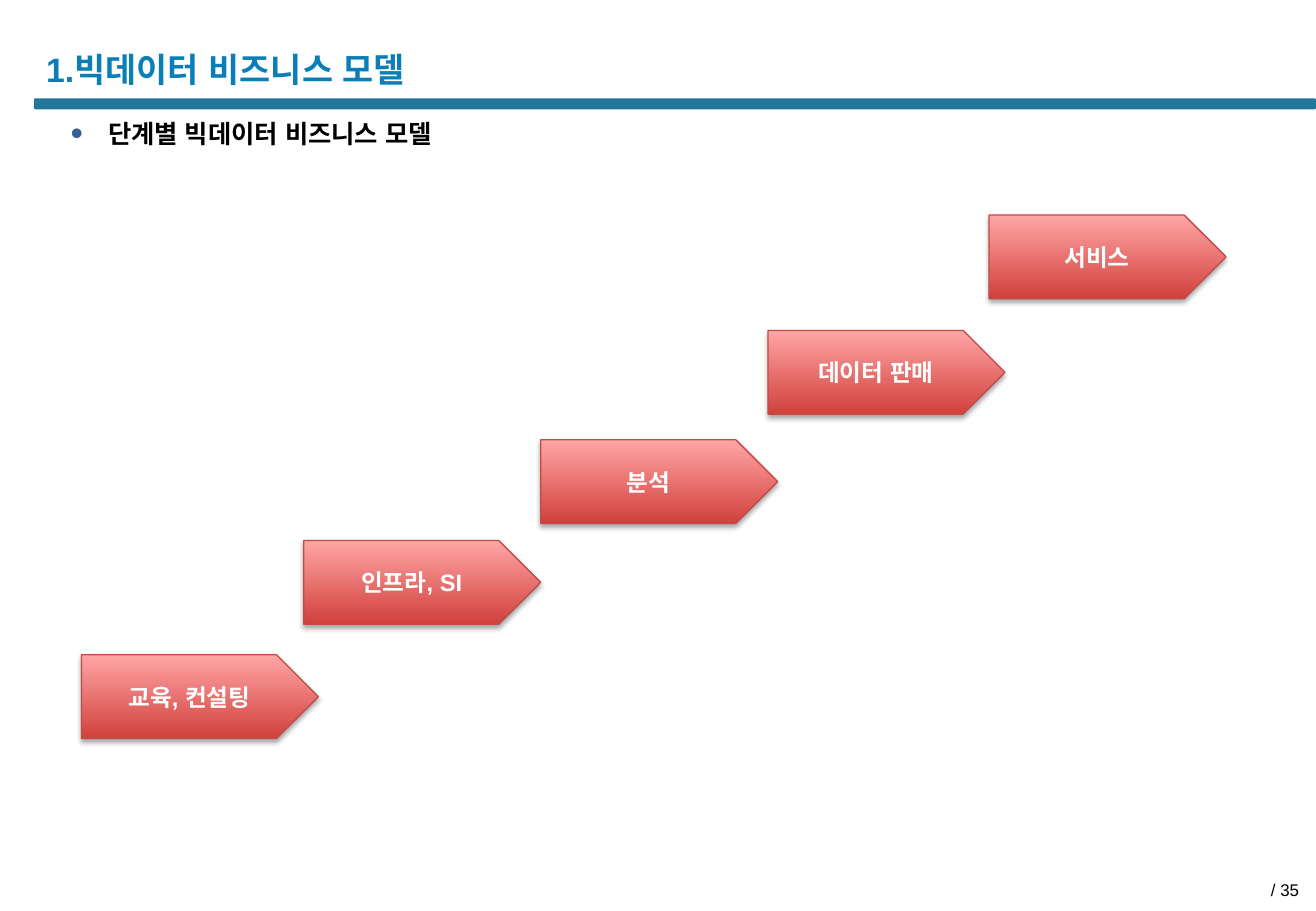
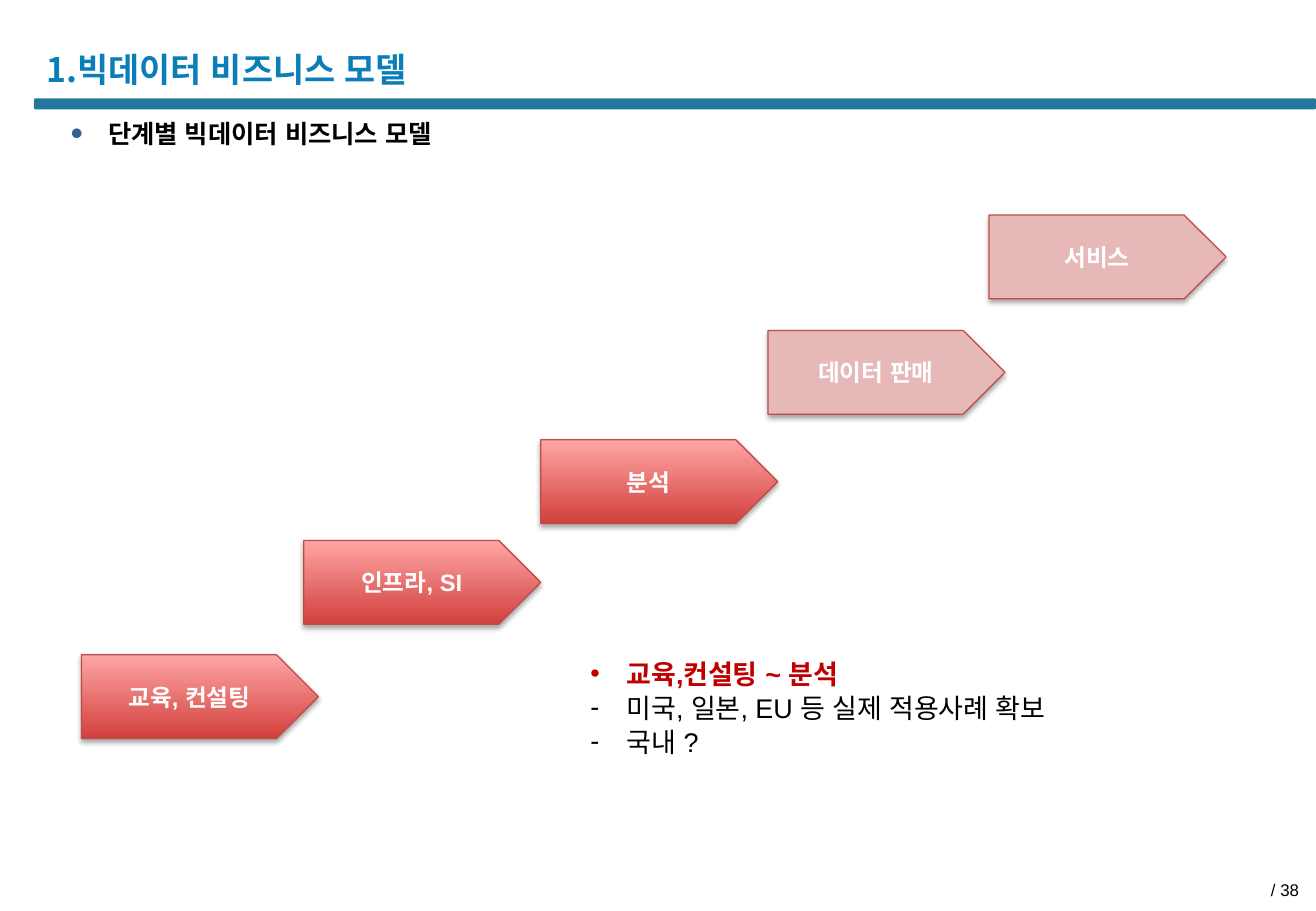
from dataclasses import dataclass
from typing import Any

import pptx
import pptx.dml.color
import pptx.enum.lang
import pptx.enum.shapes
import pptx.enum.text
import pptx.oxml.ns
import pptx.util
from lxml import etree

ALIGN = pptx.enum.text.PP_ALIGN
ANCHOR = pptx.enum.text.MSO_ANCHOR
SHAPE = pptx.enum.shapes.MSO_SHAPE
qn = pptx.oxml.ns.qn


@dataclass(frozen=True)
class Theme:
    title: str = "0A7FB7"
    band: str = "22779B"
    bullet: str = "376092"
    text: str = "000000"
    accent: str = "C00000"
    arrow_bottom: str = "D1403C"
    arrow_top: str = "FFA6A5"
    arrow_faded: str = "E6B9B8"
    arrow_line: str = "BF4C48"
    arrow_text: str = "FFFFFF"
    font: str = "Arial"
    korean_font: str = "Noto Sans CJK KR"
    title_size: int = 20
    note_size: int = 16
    body_size: int = 15
    arrow_size: int = 14
    page_size: int = 10


@dataclass(frozen=True)
class Area:
    """Left, top, width and height in percent of the slide."""
    left: float
    top: float
    width: float
    height: float

    def lengths(self) -> tuple[int, int, int, int]:
        return (round(WIDTH * self.left / 100), round(HEIGHT * self.top / 100),
                round(WIDTH * self.width / 100), round(HEIGHT * self.height / 100))


@dataclass(frozen=True)
class Stage:
    label: str
    left: float
    top: float


@dataclass(frozen=True)
class Note:
    text: str
    bullet: str
    color: str
    bold: bool = False


@dataclass(frozen=True)
class Page:
    number: str
    title_font: str
    faded: tuple[str, ...] = ()
    notes: tuple[Note, ...] = ()


THEME = Theme()
WIDTH = pptx.util.Inches(10.83)
HEIGHT = pptx.util.Inches(7.5)
BAND = Area(2.59, 10.8, 97.41, 1.2)
TITLE = Area(2.59, 4.4, 59.28, 6.27)
BODY = Area(5.36, 12.93, 65.84, 3.33)
NOTES = Area(43.95, 71.33, 51.15, 12.13)
PAGE_NUMBER = Area(76.73, 95.87, 23.27, 3.07)
ARROW_WIDTH, ARROW_HEIGHT = 18.01, 9.2

STAGES = (
    Stage("교육, 컨설팅", 6.19, 71.87),
    Stage("인프라, SI", 23.08, 59.33),
    Stage("분석", 41.09, 48.27),
    Stage("데이터 판매", 58.36, 36.27),
    Stage("서비스", 75.16, 23.6),
)
PAGES = (
    Page("/ 35", THEME.font),
    Page("/ 38", THEME.korean_font, ("데이터 판매", "서비스"), (
        Note("교육,컨설팅 ~ 분석", "•", THEME.accent, True),
        Note("미국, 일본, EU 등 실제 적용사례 확보", "-", THEME.text),
        Note("국내 ?", "-", THEME.text),
    )),
)


def rgb(value: str) -> pptx.dml.color.RGBColor:
    return pptx.dml.color.RGBColor.from_string(value)


def place(shape: Any, area: Area) -> None:
    shape.left, shape.top, shape.width, shape.height = area.lengths()


def set_insets(frame: Any, left: float, top: float, right: float, bottom: float) -> None:
    frame.margin_left, frame.margin_top, frame.margin_right, frame.margin_bottom = map(
        pptx.util.Inches, (left, top, right, bottom))


def add_bullet(paragraph: Any, character: str, color: str, percent: int, indent: float) -> None:
    properties = paragraph._p.get_or_add_pPr()
    length = pptx.util.Inches(indent)
    properties.set("marL", str(length))
    properties.set("indent", str(-length))
    bullet_color = etree.SubElement(properties, qn("a:buClr"))
    etree.SubElement(bullet_color, qn("a:srgbClr"), val=color)
    etree.SubElement(properties, qn("a:buSzPct"), val=str(percent * 1000))
    etree.SubElement(properties, qn("a:buFont"), typeface=THEME.font)
    etree.SubElement(properties, qn("a:buChar"), char=character)


def write(paragraph: Any, text: str, *, size: int, color: str, bold: bool = False,
          font: str = THEME.font, align: Any = ALIGN.LEFT, spacing: float = 1.0) -> None:
    paragraph.alignment = align
    paragraph.space_before = pptx.util.Pt(0)
    paragraph.line_spacing = spacing
    run = paragraph.add_run()
    run.text = text
    run.font.size = pptx.util.Pt(size)
    run.font.bold = bold
    run.font.color.rgb = rgb(color)
    run.font.language_id = pptx.enum.lang.MSO_LANGUAGE_ID.KOREAN
    run.font.name = font
    etree.SubElement(run._r.get_or_add_rPr(), qn("a:ea"), typeface=font)


def prepare_layout(layout: Any, slide: Any) -> None:
    title, body = layout.placeholders[0], layout.placeholders[1]
    place(title, TITLE)
    place(body, BODY)
    title.text_frame.vertical_anchor = ANCHOR.MIDDLE
    set_insets(body.text_frame, 0, 0, 0, 0)
    for placeholder in (title, body):
        placeholder.text_frame.auto_size = pptx.enum.text.MSO_AUTO_SIZE.NONE
    band = slide.shapes.add_shape(SHAPE.ROUNDED_RECTANGLE, *BAND.lengths())
    band.adjustments[0] = 0.13
    band.shadow.inherit = False
    band.fill.solid()
    band.fill.fore_color.rgb = rgb(THEME.band)
    band.line.fill.background()
    layout.shapes.element.insert(2, band.element)


def add_shadow(shape: Any) -> None:
    shape.shadow.inherit = False
    effects = shape.element.spPr.find(qn("a:effectLst"))
    shadow = etree.SubElement(effects, qn("a:outerShdw"), blurRad="40000", dist="23000",
                              dir="5400000", rotWithShape="0")
    color = etree.SubElement(shadow, qn("a:srgbClr"), val="000000")
    etree.SubElement(color, qn("a:alpha"), val="35000")


def add_arrow(slide: Any, stage: Stage, faded: bool) -> None:
    area = Area(stage.left, stage.top, ARROW_WIDTH, ARROW_HEIGHT)
    arrow = slide.shapes.add_shape(SHAPE.PENTAGON, *area.lengths())
    if faded:
        arrow.fill.solid()
        arrow.fill.fore_color.rgb = rgb(THEME.arrow_faded)
    else:
        arrow.fill.gradient()
        arrow.fill.gradient_angle = 90
        stops = zip(arrow.fill.gradient_stops, (THEME.arrow_bottom, THEME.arrow_top))
        for position, (stop, color) in enumerate(stops):
            stop.position = position
            stop.color.rgb = rgb(color)
    arrow.line.color.rgb = rgb(THEME.arrow_line)
    arrow.line.width = pptx.util.Pt(0.75)
    add_shadow(arrow)
    frame = arrow.text_frame
    frame.vertical_anchor = ANCHOR.MIDDLE
    set_insets(frame, 0.1, 0, 0.1, 0)
    write(frame.paragraphs[0], stage.label, size=THEME.arrow_size, color=THEME.arrow_text,
          bold=True, align=ALIGN.CENTER)


def add_text_box(slide: Any, area: Area) -> Any:
    frame = slide.shapes.add_textbox(*area.lengths()).text_frame
    frame.word_wrap = True
    return frame


def add_notes(slide: Any, notes: tuple[Note, ...]) -> None:
    frame = add_text_box(slide, NOTES)
    for index, note in enumerate(notes):
        paragraph = frame.add_paragraph() if index else frame.paragraphs[0]
        add_bullet(paragraph, note.bullet, note.color, 100, 0.3)
        write(paragraph, note.text, size=THEME.note_size, color=note.color, bold=note.bold,
              spacing=1.05)


def fill_slide(slide: Any, page: Page) -> None:
    write(slide.shapes.title.text_frame.paragraphs[0], "1.빅데이터 비즈니스 모델",
          size=THEME.title_size, color=THEME.title, bold=True, font=page.title_font)
    body = slide.placeholders[1].text_frame.paragraphs[0]
    add_bullet(body, "•", THEME.bullet, 140, 0.31)
    write(body, "단계별 빅데이터 비즈니스 모델", size=THEME.body_size, color=THEME.text, bold=True)
    number = add_text_box(slide, PAGE_NUMBER)
    set_insets(number, 0.1, 0.05, 0.14, 0.05)
    write(number.paragraphs[0], page.number, size=THEME.page_size, color=THEME.text,
          align=ALIGN.RIGHT)
    for stage in STAGES:
        add_arrow(slide, stage, stage.label in page.faded)
    if page.notes:
        add_notes(slide, page.notes)


def main() -> None:
    presentation = pptx.Presentation()
    presentation.slide_width, presentation.slide_height = WIDTH, HEIGHT
    layout = presentation.slide_layouts[1]
    slides = [presentation.slides.add_slide(layout) for _ in PAGES]
    prepare_layout(layout, slides[0])
    for slide, page in zip(slides, PAGES):
        fill_slide(slide, page)
    presentation.save("out.pptx")


if __name__ == "__main__":
    main()
